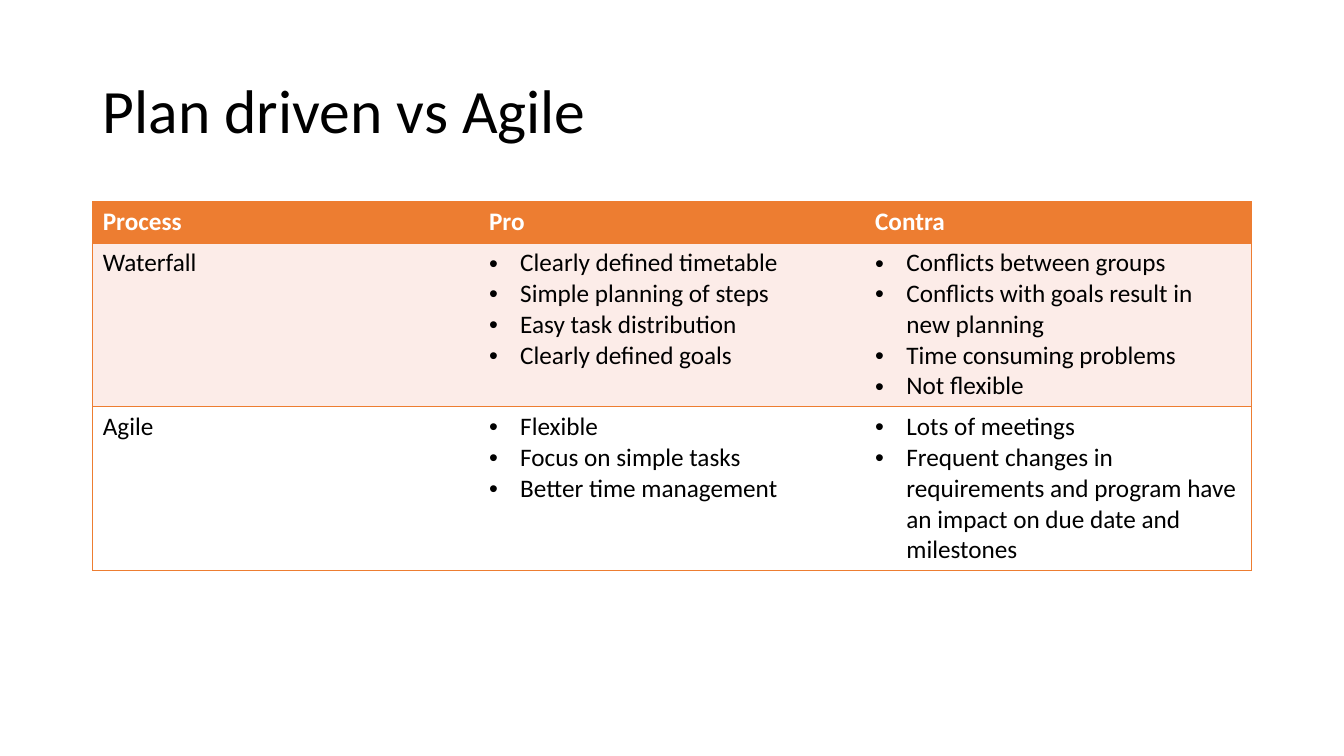
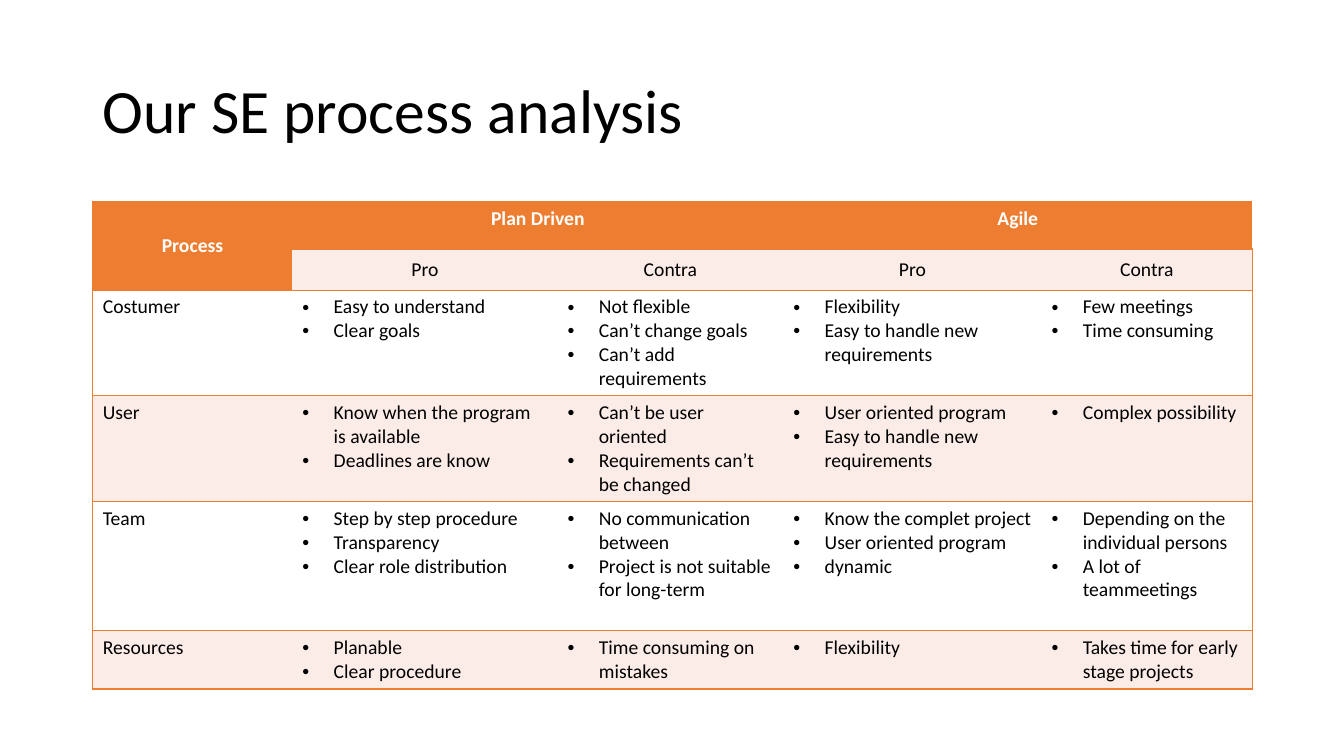
from lxml import etree
from pptx import Presentation
from pptx.dml.color import RGBColor
from pptx.enum.text import MSO_ANCHOR, MSO_AUTO_SIZE, PP_ALIGN
from pptx.oxml.ns import qn
from pptx.util import Pt

PX = 9144  # EMU per px, 100 px to the inch
TOP, MIDDLE = MSO_ANCHOR.TOP, MSO_ANCHOR.MIDDLE
LEFT, CENTER = PP_ALIGN.LEFT, PP_ALIGN.CENTER
NO_AUTOFIT = MSO_AUTO_SIZE.NONE
TITLE_ONLY = 5
NO_STYLE_NO_GRID = "{2D5ABB26-0587-4C30-8999-92F81FD0307C}"

FONT = "Calibri"
COLORS = {"accent": "ED7D31", "tint": "FCECE8", "white": "FFFFFF", "text": "000000"}
TITLE_BOX = (92, 40, 1150, 145)
TABLE_POS = (92, 200)
BULLET_INDENT = 31

COMPARISON_ROWS = [
    ["Process", "Pro", "Contra"],
    ["Waterfall",
     ["Clearly defined timetable", "Simple planning of steps",
      "Easy task distribution", "Clearly defined goals"],
     ["Conflicts between groups", "Conflicts with goals result in new planning",
      "Time consuming problems", "Not flexible"]],
    ["Agile",
     ["Flexible", "Focus on simple tasks", "Better time management"],
     ["Lots of meetings",
      "Frequent changes in requirements and program have an impact on due date "
      "and milestones"]],
]

ANALYSIS_ROWS = [
    ["Process", "Plan Driven", "", "Agile", ""],
    ["", "Pro", "Contra", "Pro", "Contra"],
    ["Costumer",
     ["Easy to understand", "Clear goals"],
     ["Not flexible", "Can’t change goals", "Can’t add requirements"],
     ["Flexibility", "Easy to handle new requirements"],
     ["Few meetings", "Time consuming"]],
    ["User",
     ["Know when the program is available", "Deadlines are know"],
     ["Can’t be user oriented", "Requirements can’t be changed"],
     ["User oriented program", "Easy to handle new requirements"],
     ["Complex possibility"]],
    ["Team",
     ["Step by step procedure", "Transparency", "Clear role distribution"],
     ["No communication between", "Project is not suitable for long-term"],
     ["Know the complet project", "User oriented program", "dynamic"],
     ["Depending on the individual persons", "A lot of teammeetings"]],
    ["Resources",
     ["Planable", "Clear procedure"],
     ["Time consuming on mistakes"],
     ["Flexibility"],
     ["Takes time for early stage projects"]],
]


def rgb(name):
    return RGBColor.from_string(COLORS[name])


def style_font(font, size, color, bold=False):
    font.name, font.size, font.bold = FONT, Pt(size), bold
    font.color.rgb = rgb(color)


def add_titled_slide(prs, title):
    s = prs.slides.add_slide(prs.slide_layouts[TITLE_ONLY])
    sp = s.shapes.title
    sp.left, sp.top, sp.width, sp.height = (v * PX for v in TITLE_BOX)
    tf = sp.text_frame
    tf.text = title
    tf.auto_size, tf.vertical_anchor, tf.word_wrap = NO_AUTOFIT, MIDDLE, True
    p = tf.paragraphs[0]
    p.alignment, p.line_spacing = LEFT, 0.9
    style_font(p.runs[0].font, 44, "text")
    return s


def add_bullet(p):
    pPr = p._p.get_or_add_pPr()
    pPr.set("marL", str(BULLET_INDENT * PX))
    pPr.set("indent", str(-BULLET_INDENT * PX))
    etree.SubElement(pPr, qn("a:buFont"), typeface="Arial")
    etree.SubElement(pPr, qn("a:buChar"), char="•")


def set_borders(cell, first, last):
    """Rule the cell above and below, and at the outer edges of the table."""
    tcPr = cell._tc.get_or_add_tcPr()
    for side, shown in (("L", first), ("R", last), ("T", True), ("B", True)):
        ln = etree.SubElement(tcPr, qn(f"a:ln{side}"), w=str(Pt(1)))
        if shown:
            fill = etree.SubElement(ln, qn("a:solidFill"))
            etree.SubElement(fill, qn("a:srgbClr"), val=COLORS["accent"])
        else:
            etree.SubElement(ln, qn("a:noFill"))


def fill_cell(cell, content, size, fill, header):
    """Write a plain string, or a list as bullets."""
    bulleted = isinstance(content, list)
    tf = cell.text_frame
    tf.text = "\n".join(content) if bulleted else content
    for p in tf.paragraphs:
        if bulleted:
            add_bullet(p)
        for r in p.runs:
            style_font(r.font, size, "white" if header else "text", header)
    cell.vertical_anchor = TOP
    cell.fill.solid()
    cell.fill.fore_color.rgb = rgb(fill)


def add_banded_table(s, pos, rows, widths, heights, size):
    left, top = pos
    box = (left, top, sum(widths), sum(heights))
    frame = s.shapes.add_table(len(rows), len(widths), *(v * PX for v in box))
    table = frame.table
    table._tbl.tblPr.find(qn("a:tableStyleId")).text = NO_STYLE_NO_GRID
    for column, width in zip(table.columns, widths):
        column.width = width * PX
    for i, (row, height) in enumerate(zip(rows, heights)):
        table.rows[i].height = height * PX
        fill = "accent" if i == 0 else ("white", "tint")[i % 2]
        for j, content in enumerate(row):
            cell = table.cell(i, j)
            set_borders(cell, j == 0, j == len(row) - 1)
            fill_cell(cell, content, size, fill, i == 0)
    return table


def merge_two_level_header(table):
    """Span the row label down and each group title over its two columns."""
    for start, end in (((0, 0), (1, 0)), ((0, 1), (0, 2)), ((0, 3), (0, 4))):
        table.cell(*start).merge(table.cell(*end))
    for i in range(2):
        for j in range(len(table.columns)):
            cell = table.cell(i, j)
            cell.text_frame.paragraphs[0].alignment = CENTER
            if i == 1 or j == 0:
                cell.vertical_anchor = MIDDLE


def build_comparison_slide(prs):
    s = add_titled_slide(prs, "Plan driven vs Agile")
    add_banded_table(s, TABLE_POS, COMPARISON_ROWS, [383] * 3, [41, 162, 162], 18)


def build_analysis_slide(prs):
    s = add_titled_slide(prs, "Our SE process analysis")
    table = add_banded_table(s, TABLE_POS, ANALYSIS_ROWS, [198, 263, 224, 256, 209],
                             [47, 41, 104, 105, 128, 58], 14)
    merge_two_level_header(table)


def main():
    prs = Presentation()
    prs.slide_width, prs.slide_height = 1333 * PX, 750 * PX
    build_comparison_slide(prs)
    build_analysis_slide(prs)
    prs.save("out.pptx")


if __name__ == "__main__":
    main()
